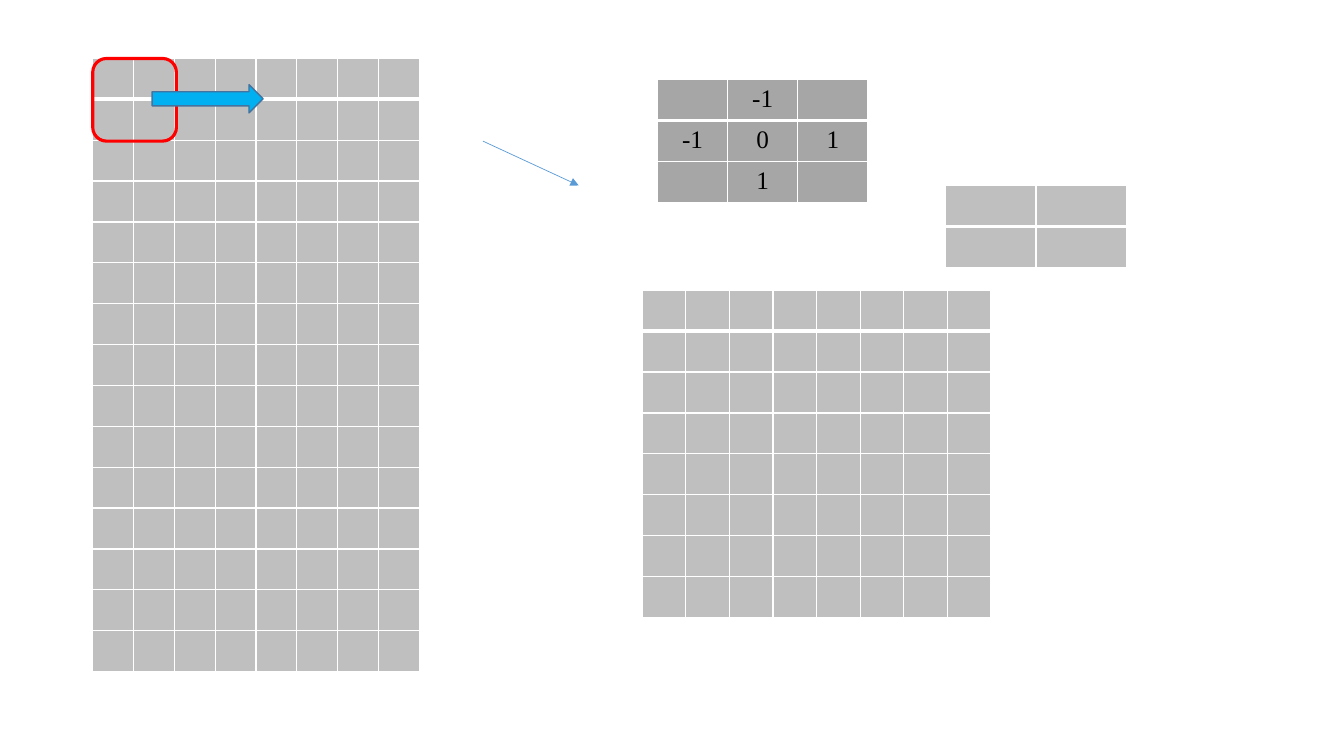
from lxml import etree
from pptx import Presentation
from pptx.dml.color import RGBColor
from pptx.enum.shapes import MSO_CONNECTOR, MSO_SHAPE
from pptx.enum.text import PP_ALIGN
from pptx.oxml.ns import qn
from pptx.util import Inches, Pt

STRAIGHT = MSO_CONNECTOR.STRAIGHT
ROUNDED_RECTANGLE = MSO_SHAPE.ROUNDED_RECTANGLE
RIGHT_ARROW = MSO_SHAPE.RIGHT_ARROW
CENTER = PP_ALIGN.CENTER

FONT = "Times New Roman"
LIGHT_GRAY = "BFBFBF"
MID_GRAY = "A6A6A6"
WHITE = "FFFFFF"
KERNEL = [["", "-1", ""],
          ["-1", "0", "1"],
          ["", "1", ""]]


def color(hex_value):
    return RGBColor.from_string(hex_value)


def write_text(frame, text, size=18, font=FONT, fill="000000", align=CENTER):
    paragraph = frame.paragraphs[0]
    paragraph.alignment = align
    paragraph.font.size = Pt(size)
    if text:
        run = paragraph.add_run()
        run.text = text
        run.font.size = Pt(size)
        run.font.name = font
        run.font.bold = False
        run.font.color.rgb = color(fill)


def add_borders(cell, bottom=1, top=1):
    """Draw white borders; bottom and top are widths in points."""
    properties = cell._tc.get_or_add_tcPr()
    for side, width in (("L", 1), ("R", 1), ("T", top), ("B", bottom)):
        border = etree.SubElement(properties, qn(f"a:ln{side}"), w=str(Pt(width)))
        solid = etree.SubElement(border, qn("a:solidFill"))
        etree.SubElement(solid, qn("a:srgbClr"), val=WHITE)


def add_grid(slide, box, values, fill):
    """Fill the box with equal cells, with a thick rule below the first row."""
    left, top, width, height = (Inches(length) for length in box)
    row_count, column_count = len(values), len(values[0])
    grid = slide.shapes.add_table(
        row_count, column_count, left, top, width, height).table
    grid.horz_banding = False
    for column in grid.columns:
        column.width = width // column_count
    for r, row_values in enumerate(values):
        grid.rows[r].height = height // row_count
        for c, value in enumerate(row_values):
            cell = grid.cell(r, c)
            add_borders(cell, bottom=3 if r == 0 else 1, top=3 if r == 1 else 1)
            cell.fill.solid()
            cell.fill.fore_color.rgb = color(fill)
            write_text(cell.text_frame, value)


def empty_cells(rows, columns):
    return [[""] * columns for _ in range(rows)]


def add_outlined_shape(slide, kind, box, line, line_width, fill=None):
    shape = slide.shapes.add_shape(kind, *(Inches(length) for length in box))
    shape.shadow.inherit = False
    if fill:
        shape.fill.solid()
        shape.fill.fore_color.rgb = color(fill)
    else:
        shape.fill.background()
    shape.line.color.rgb = color(line)
    shape.line.width = Pt(line_width)


def add_arrow_line(slide, start, end, line, line_width):
    arrow = slide.shapes.add_connector(
        STRAIGHT, *(Inches(length) for length in (*start, *end)))
    arrow.line.color.rgb = color(line)
    arrow.line.width = Pt(line_width)
    etree.SubElement(arrow.line._get_or_add_ln(), qn("a:tailEnd"), type="triangle")
    etree.SubElement(arrow._element.spPr, qn("a:effectLst"))


def add_input_map(slide, box):
    add_grid(slide, box, empty_cells(15, 8), LIGHT_GRAY)


def add_sliding_window(slide, box):
    """Outline the window in the box and point the way it moves."""
    left, top, width, height = box
    add_outlined_shape(slide, ROUNDED_RECTANGLE, box, "FF0000", 2.25)
    add_outlined_shape(slide, RIGHT_ARROW, (left + 0.59, top + 0.26, 1.1, 0.28),
                       "43739E", 1, fill="00B0F0")


def main():
    presentation = Presentation()
    presentation.slide_width = Inches(13.33)
    presentation.slide_height = Inches(7.5)
    slide = presentation.slides.add_slide(presentation.slide_layouts[6])

    add_input_map(slide, (0.92, 0.58, 3.24, 6.08))
    add_grid(slide, (6.52, 0.79, 2.09, 1.22), KERNEL, MID_GRAY)
    add_grid(slide, (6.37, 2.88, 3.46, 3.24), empty_cells(8, 8), LIGHT_GRAY)
    add_arrow_line(slide, (4.79, 1.4), (5.74, 1.84), "5B9BD5", 0.5)
    add_sliding_window(slide, (0.92, 0.58, 0.83, 0.82))
    add_grid(slide, (9.38, 1.84, 1.79, 0.81), empty_cells(2, 2), LIGHT_GRAY)

    presentation.save("out.pptx")


if __name__ == "__main__":
    main()
